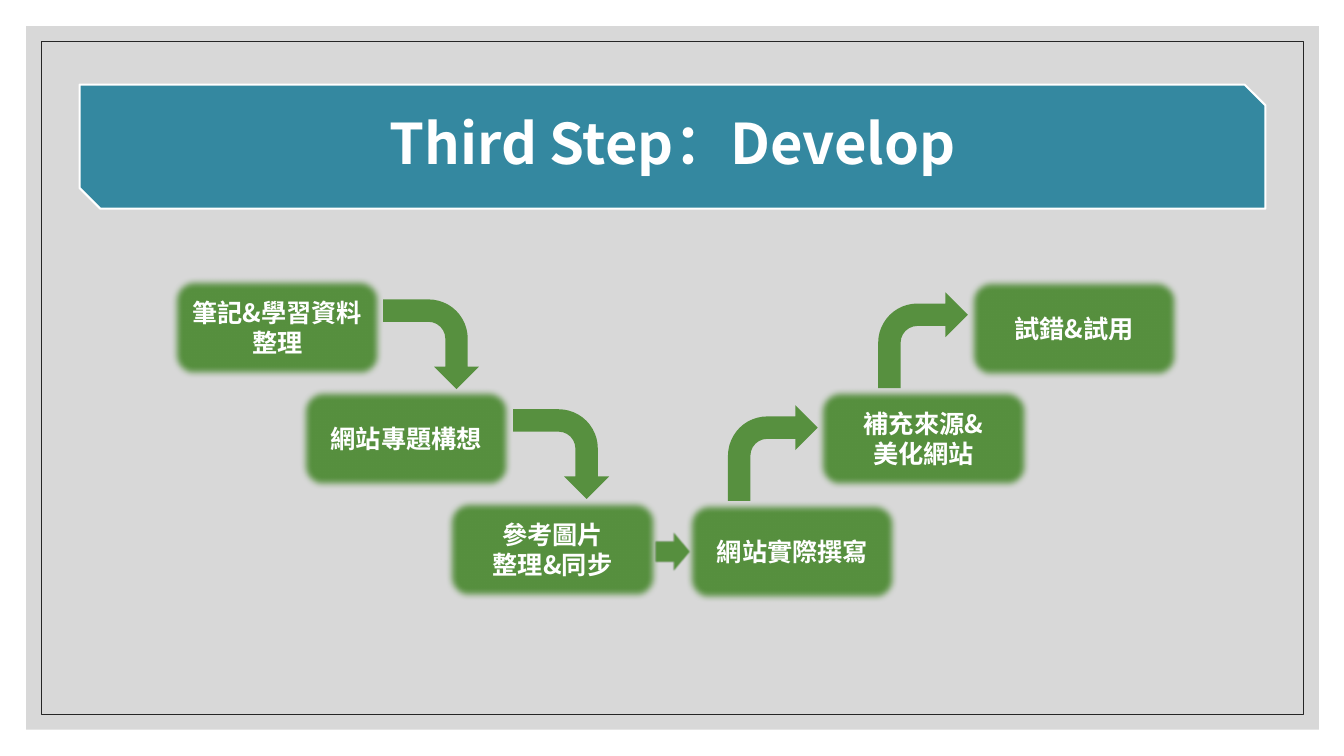
import dataclasses

import pptx
import pptx.dml.color
import pptx.enum.shapes
import pptx.enum.text
import pptx.oxml
import pptx.oxml.ns
import pptx.util

EMU_PER_PX = 9144  # 100 px to the inch
KIND = pptx.enum.shapes.MSO_SHAPE


@dataclasses.dataclass(frozen=True)
class Theme:
    font: str = "Noto Sans CJK SC"
    white: str = "FFFFFF"
    panel: str = "BFBFBF"
    frame: str = "262626"
    banner: str = "3488A0"
    step: str = "57903F"
    step_line: str = "406B2F"
    title_size: int = 40
    step_size: int = 18


THEME = Theme()

STEP_SIZE = (210, 100)
STEPS = [  # left, top, lines
    (170, 275, ["筆記&學習資料整理"]),
    (298, 385, ["網站專題構想"]),
    (443, 495, ["參考圖片", "整理&同步"]),
    (681, 497, ["網站實際撰寫"]),
    (811, 385, ["補充來源&", "美化網站"]),
    (960, 276, ["試錯&試用"]),
]
BENT_SIZE = (89, 95)
BENT_ARROWS = [  # left, top, rotation
    (383, 294, 90),
    (512, 403, 90),
    (722, 402, 0),
    (871, 290, 0),
]


def px(length):
    return pptx.util.Emu(length * EMU_PER_PX)


def rgb(value):
    return pptx.dml.color.RGBColor.from_string(value)


def apply_format(target, values):
    for name, value in values.items():
        setattr(target, name, value)


def add_effect(shape, xml):
    namespace = pptx.oxml.ns.nsdecls("a")
    effects = shape._element.spPr.find(pptx.oxml.ns.qn("a:effectLst"))
    effects.append(pptx.oxml.parse_xml(xml.replace("/>", f" {namespace}/>")))


def add_block(slide, kind, box, fill=None, line=None, line_width=1, soft_edge=0):
    """Draw a preset shape; soft_edge is a radius in points."""
    shape = slide.shapes.add_shape(kind, *map(px, box))
    shape.shadow.inherit = False
    if fill:
        shape.fill.solid()
        shape.fill.fore_color.rgb = rgb(fill)
    else:
        shape.fill.background()
    if line:
        shape.line.color.rgb = rgb(line)
        shape.line.width = pptx.util.Pt(line_width)
    else:
        shape.line.fill.background()
    if soft_edge:
        add_effect(shape, f'<a:softEdge rad="{pptx.util.Pt(soft_edge)}"/>')
    return shape


def set_opacity(shape, percent):
    color = shape.fill._xPr.find(".//" + pptx.oxml.ns.qn("a:srgbClr"))
    alpha = color.makeelement(pptx.oxml.ns.qn("a:alpha"), {"val": str(percent * 1000)})
    color.append(alpha)


def write_lines(shape, lines, size, line_spacing=1.0):
    frame = shape.text_frame
    apply_format(frame, {
        "word_wrap": True,
        "vertical_anchor": pptx.enum.text.MSO_ANCHOR.MIDDLE,
    })
    for index, text in enumerate(lines):
        paragraph = frame.paragraphs[0] if index == 0 else frame.add_paragraph()
        apply_format(paragraph, {
            "alignment": pptx.enum.text.PP_ALIGN.CENTER,
            "line_spacing": line_spacing,
        })
        run = paragraph.add_run()
        run.text = text
        apply_format(run.font, {
            "name": THEME.font,
            "size": pptx.util.Pt(size),
            "bold": True,
        })
        run.font.color.rgb = rgb(THEME.white)
        # East Asian characters take their own typeface entry
        properties = run._r.get_or_add_rPr()
        latin = properties.find(pptx.oxml.ns.qn("a:latin"))
        latin.addnext(properties.makeelement(
            pptx.oxml.ns.qn("a:ea"), {"typeface": THEME.font}))


def add_backdrop(slide):
    panel = add_block(slide, KIND.RECTANGLE, (26, 26, 1282, 698), THEME.panel)
    set_opacity(panel, 60)
    add_block(slide, KIND.RECTANGLE, (41, 41, 1252, 668),
              line=THEME.frame, line_width=0.5)


def add_title(slide):
    add_block(slide, KIND.SNIP_2_DIAG_RECTANGLE, (79, 84, 1176, 123),
              THEME.banner, THEME.white, 1.5)
    title = slide.shapes.add_textbox(*map(px, (117, 70, 1100, 150)))
    write_lines(title, ["Third Step：Develop"], THEME.title_size, 0.9)


def add_step(slide, left, top, lines):
    step = add_block(slide, KIND.ROUNDED_RECTANGLE, (left, top, *STEP_SIZE),
                     THEME.step, THEME.step_line, soft_edge=5)
    write_lines(step, lines, THEME.step_size)


def add_bent_arrow(slide, left, top, rotation):
    arrow = add_block(slide, KIND.BENT_ARROW, (left, top, *BENT_SIZE), THEME.step)
    arrow.rotation = rotation


def main():
    presentation = pptx.Presentation()
    apply_format(presentation, {"slide_width": px(1333), "slide_height": px(750)})
    slide = presentation.slides.add_slide(presentation.slide_layouts[6])

    # Panel, frame and title banner
    add_backdrop(slide)
    add_title(slide)

    # Steps down and up again
    for step in STEPS:
        add_step(slide, *step)

    # Arrows between the steps
    for arrow in BENT_ARROWS:
        add_bent_arrow(slide, *arrow)
    add_block(slide, KIND.RIGHT_ARROW, (650, 526, 35, 42),
              THEME.step, THEME.step_line, soft_edge=1)

    presentation.save("out.pptx")


if __name__ == "__main__":
    main()
